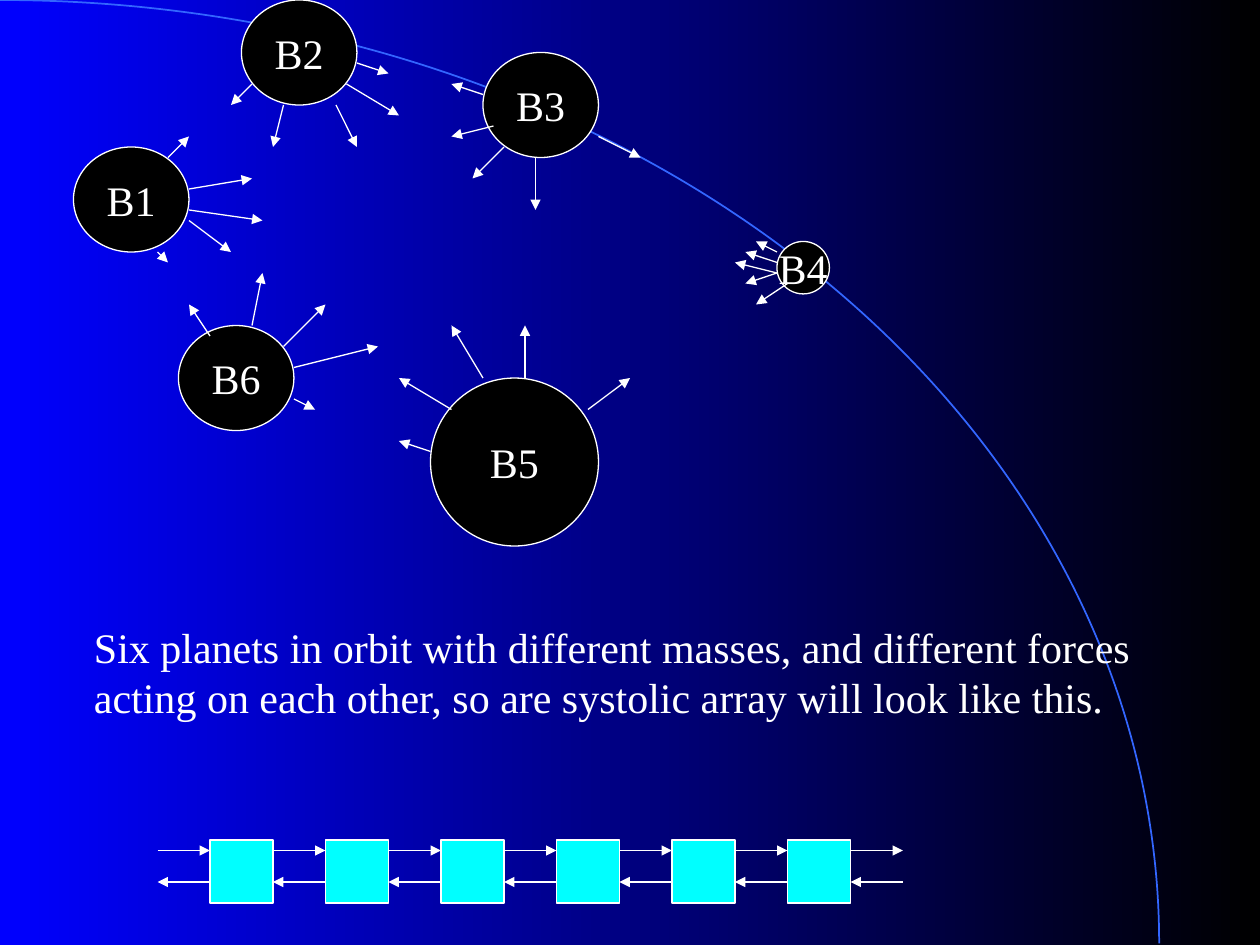
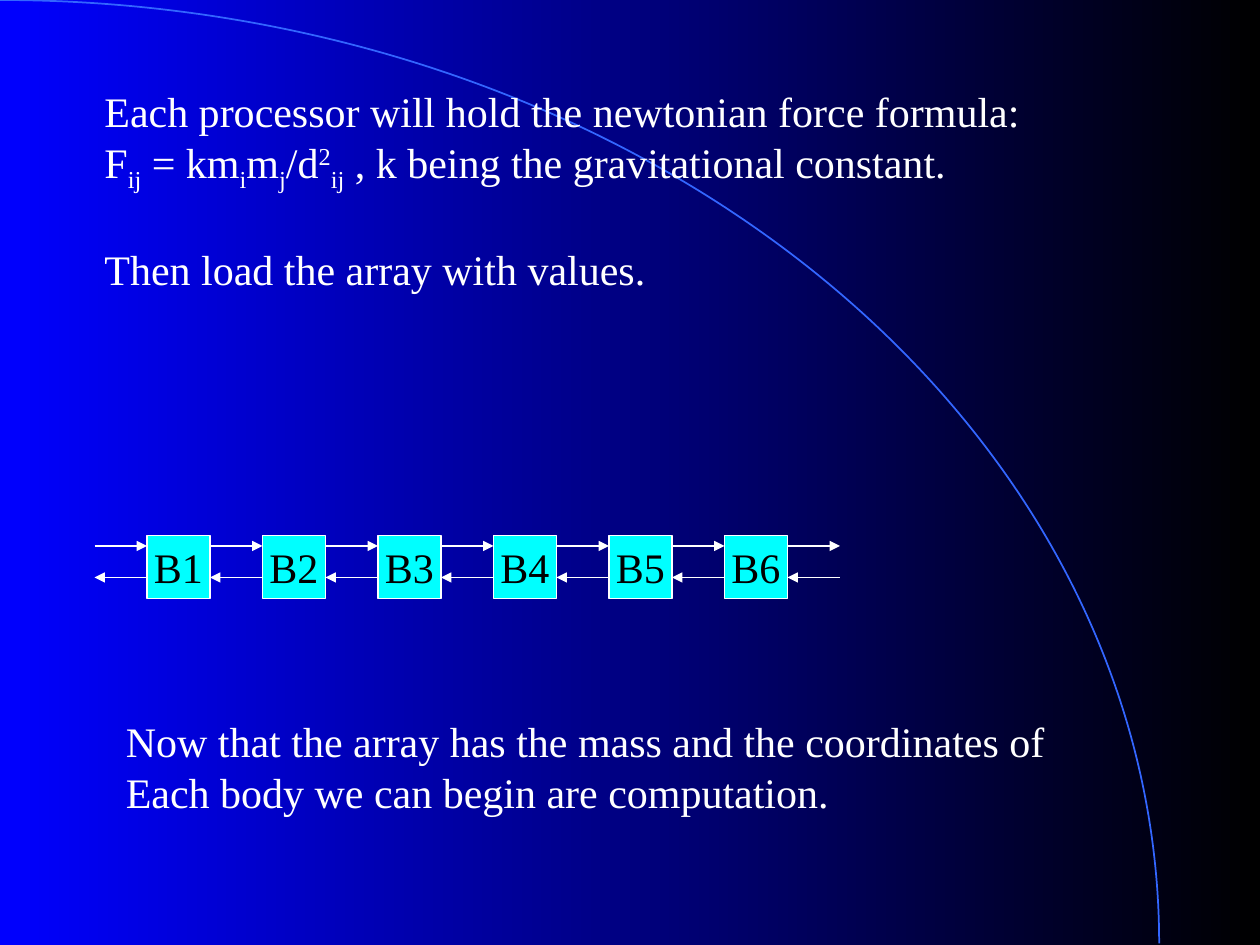
import pptx
import pptx.dml.color
import pptx.enum.shapes
import pptx.enum.text
import pptx.oxml
import pptx.oxml.ns
import pptx.util

Pt = pptx.util.Pt
RGBColor = pptx.dml.color.RGBColor
MSO_SHAPE = pptx.enum.shapes.MSO_SHAPE
MSO_CONNECTOR = pptx.enum.shapes.MSO_CONNECTOR
MSO_ANCHOR = pptx.enum.text.MSO_ANCHOR
MSO_AUTO_SIZE = pptx.enum.text.MSO_AUTO_SIZE
PP_ALIGN = pptx.enum.text.PP_ALIGN

BLACK = RGBColor(0x00, 0x00, 0x00)
BLUE = RGBColor(0x00, 0x00, 0xFF)
ORBIT_BLUE = RGBColor(0x33, 0x66, 0xFF)
CYAN = RGBColor(0x00, 0xFF, 0xFF)
WHITE = RGBColor(0xFF, 0xFF, 0xFF)

BLANK_LAYOUT = 6
LETTERING = {"name": "Times New Roman", "size": Pt(24)}
LABEL_FRAME = {"word_wrap": False, "vertical_anchor": MSO_ANCHOR.MIDDLE}
CAPTION_FRAME = {"word_wrap": False, "auto_size": MSO_AUTO_SIZE.SHAPE_TO_FIT_TEXT}
BASELINES = {"sub": "-25000", "super": "30000"}

CELL_SIZE = 36
CELL_GAP = 30
RIGHTWARD_DROP = 6
LEFTWARD_DROP = 24
BODY_NAMES = ["B1", "B2", "B3", "B4", "B5", "B6"]

PLANETS = {
    "B1": (42, 84, 66, 60),
    "B2": (138, 0, 66, 60),
    "B3": (276, 30, 66, 60),
    "B6": (102, 186, 66, 60),
    "B4": (444, 138, 30, 30),
    "B5": (246, 216, 96, 96),
}

FORCES = {
    "B6": [(162, 198, 186, 174), (168, 228, 180, 234), (120, 192, 108, 174),
           (144, 186, 150, 156), (168, 210, 216, 198)],
    "B5": [(300, 216, 300, 186), (246, 258, 228, 252), (258, 234, 228, 216),
           (276, 216, 258, 186), (336, 234, 360, 216)],
    "B1": [(90, 144, 96, 150), (108, 126, 132, 144), (96, 90, 108, 78),
           (108, 108, 144, 102), (108, 120, 150, 126)],
    "B2": [(144, 48, 132, 60), (162, 60, 156, 84), (192, 60, 204, 84),
           (204, 36, 222, 42), (198, 48, 228, 66)],
    "B3": [(276, 54, 258, 48), (282, 72, 258, 78), (288, 84, 270, 102),
           (306, 90, 306, 120), (342, 78, 366, 90)],
    "B4": [(450, 162, 432, 174), (444, 144, 432, 138), (444, 150, 426, 144),
           (444, 156, 426, 162), (444, 156, 420, 150)],
}

FORCE_FORMULA = [
    ("F", None), ("ij", "sub"), (" = km", None), ("i", "sub"), ("m", None),
    ("j", "sub"), ("/d", None), ("2", "super"), ("ij", "sub"),
    (" , k being the gravitational constant.", None),
]


def apply_format(target, values):
    for attribute, value in values.items():
        setattr(target, attribute, value)


def set_master_background(deck):
    fill = deck.slide_master.background.fill
    fill.gradient()
    fill.gradient_angle = 180
    for stop, color in zip(fill.gradient_stops, (BLACK, BLUE)):
        stop.color.rgb = color


def add_outlined(slide, preset, box, line_color, line_width):
    outlined = slide.shapes.add_shape(preset, *map(Pt, box))
    outlined.shadow.inherit = False
    outlined.line.color.rgb = line_color
    outlined.line.width = Pt(line_width)
    return outlined


def add_orbit(slide):
    orbit = add_outlined(slide, MSO_SHAPE.ARC, (-662.4, 0, 1324.8, 1078), ORBIT_BLUE, 1)
    orbit.fill.background()


def add_node(slide, preset, box, fill_color, label="", label_color=WHITE):
    node = add_outlined(slide, preset, box, WHITE, 0.75)
    node.fill.solid()
    node.fill.fore_color.rgb = fill_color
    if label:
        apply_format(node.text_frame, LABEL_FRAME)
        paragraph = node.text_frame.paragraphs[0]
        paragraph.alignment = PP_ALIGN.CENTER
        add_run(paragraph, label, label_color)


def add_arrow(slide, ends):
    arrow = slide.shapes.add_connector(MSO_CONNECTOR.STRAIGHT, *map(Pt, ends))
    arrow.line.color.rgb = WHITE
    arrow.line.width = Pt(0.75)
    head = pptx.oxml.parse_xml(
        f'<a:tailEnd {pptx.oxml.ns.nsdecls("a")} type="triangle"/>')
    arrow.line._get_or_add_ln().append(head)
    no_effects = pptx.oxml.parse_xml(f'<a:effectLst {pptx.oxml.ns.nsdecls("a")}/>')
    arrow._element.spPr.append(no_effects)


def add_run(paragraph, text, color, script=None):
    run = paragraph.add_run()
    run.text = text
    apply_format(run.font, LETTERING)
    run.font.color.rgb = color
    if script:
        run._r.get_or_add_rPr().set("baseline", BASELINES[script])


def add_caption(slide, box, lines):
    frame = slide.shapes.add_textbox(*map(Pt, box)).text_frame
    apply_format(frame, CAPTION_FRAME)
    for index, pieces in enumerate(lines):
        paragraph = frame.add_paragraph() if index else frame.paragraphs[0]
        for text, script in pieces:
            add_run(paragraph, text, WHITE, script)
    return frame


def add_systolic_array(slide, left, top, labels):
    step = CELL_SIZE + CELL_GAP
    for index, label in enumerate(labels):
        cell = (left + index * step, top, CELL_SIZE, CELL_SIZE)
        add_node(slide, MSO_SHAPE.RECTANGLE, cell, CYAN, label, BLACK)
    for index in range(len(labels) + 1):
        gap_end = left + index * step
        gap_start = gap_end - CELL_GAP
        rightward = top + RIGHTWARD_DROP
        leftward = top + LEFTWARD_DROP
        add_arrow(slide, (gap_start, rightward, gap_end, rightward))
        add_arrow(slide, (gap_end, leftward, gap_start, leftward))


def add_base_slide(deck):
    slide = deck.slides.add_slide(deck.slide_layouts[BLANK_LAYOUT])
    add_orbit(slide)
    return slide


def build_planets_slide(deck):
    slide = add_base_slide(deck)
    for name, box in PLANETS.items():
        add_node(slide, MSO_SHAPE.OVAL, box, BLACK, name)
    for forces in FORCES.values():
        for ends in forces:
            add_arrow(slide, ends)
    add_caption(slide, (46.6, 351.5, 614, 65), [
        [("Six planets in orbit with different masses, and different forces", None)],
        [("acting on each other, so are systolic array will look like this.", None)],
    ])
    add_systolic_array(slide, 120, 480, [""] * len(BODY_NAMES))


def build_processors_slide(deck):
    slide = add_base_slide(deck)
    formula = add_caption(slide, (52.6, 45.4, 540, 126.7), [
        [("Each processor will hold the newtonian force formula:", None)],
        FORCE_FORMULA,
        [("Then load the array with values.", None)],
    ])
    formula.paragraphs[-1].space_before = Pt(28.5)
    add_systolic_array(slide, 84, 306, BODY_NAMES)
    add_caption(slide, (64.8, 405.4, 542, 65), [
        [("Now that the array has the mass and the coordinates of", None)],
        [("Each body we can begin are computation.", None)],
    ])


def main():
    deck = pptx.Presentation()
    apply_format(deck, {"slide_width": Pt(720), "slide_height": Pt(540)})
    set_master_background(deck)
    build_planets_slide(deck)
    build_processors_slide(deck)
    deck.save("out.pptx")


if __name__ == "__main__":
    main()
